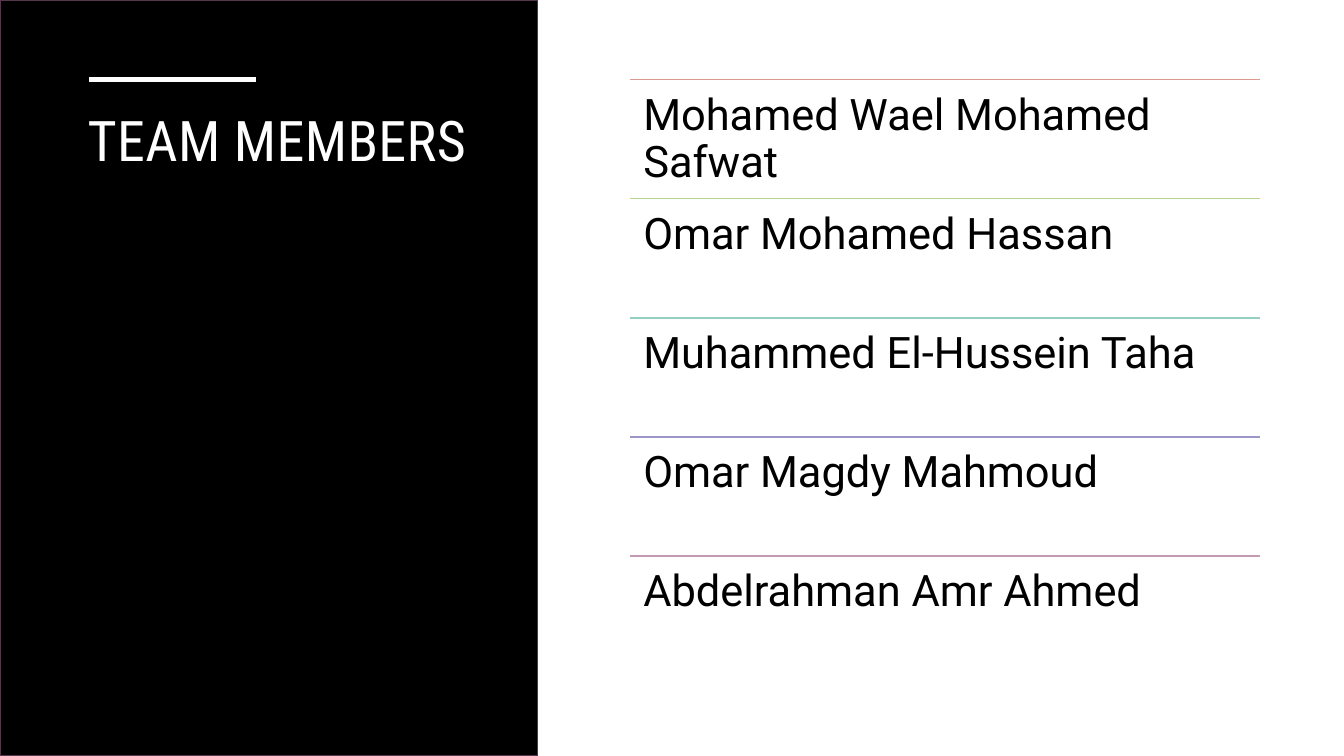
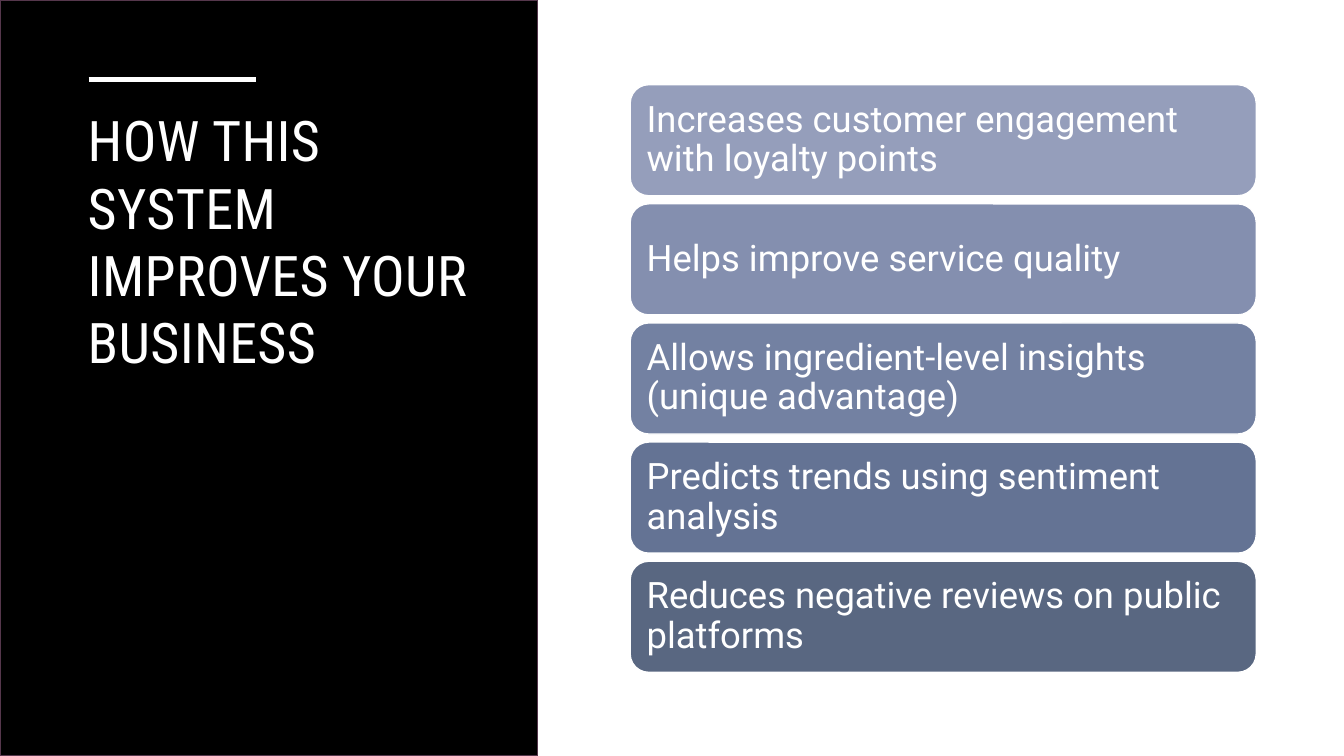
from lxml.etree import SubElement
from pptx import Presentation
from pptx.dml.color import RGBColor
from pptx.enum.shapes import MSO_CONNECTOR, MSO_SHAPE
from pptx.enum.text import MSO_ANCHOR, MSO_AUTO_SIZE, PP_ALIGN
from pptx.oxml.ns import qn
from pptx.util import Inches, Pt

WIDE, HIGH = 13.33, 7.5
BLACK, WHITE, EDGE = "000000", "FFFFFF", "55374C"
HEAD, BODY = "Roboto Condensed", "Roboto"
PANEL = (0, 0, 0.4 * WIDE, HIGH)
LIST = (6.25, 0.79, 6.25, 5.91)

TEAM = [
    ("Mohamed Wael Mohamed Safwat", "DB9A8F"),
    ("Omar Mohamed Hassan", "B6D591"),
    ("Muhammed El-Hussein Taha", "94CFC2"),
    ("Omar Magdy Mahmoud", "9C97C9"),
    ("Abdelrahman Amr Ahmed", "C29AB1"),
]
GAINS = [
    ("Increases customer engagement with loyalty points", "959EBB"),
    ("Helps improve service quality", "848FAF"),
    ("Allows ingredient-level insights (unique advantage)", "7381A2"),
    ("Predicts trends using sentiment analysis", "647394"),
    ("Reduces negative reviews on public platforms", "596781"),
]


def paint(part, color):
    """Give a fill, line or font a solid colour."""
    if hasattr(part, "solid"):
        part.solid()
        part.fore_color.rgb = RGBColor.from_string(color)
    else:
        part.color.rgb = RGBColor.from_string(color)


def inches(box):
    return [Inches(v) for v in box]


def rule(slide, left, top, width, color, weight):
    """Draw a level line without a shadow."""
    line = slide.shapes.add_connector(
        MSO_CONNECTOR.STRAIGHT, *inches((left, top, left + width, top)))
    paint(line.line, color)
    line.line.width = Pt(weight)
    SubElement(line.element.spPr, qn("a:effectLst"))


def block(slide, kind, box, fill, edge):
    shape = slide.shapes.add_shape(kind, *inches(box))
    shape.shadow.inherit = False
    paint(shape.fill, fill)
    paint(shape.line, edge)
    shape.line.width = Pt(1)
    return shape


def write(shape, text, font, size, color, anchor, pad, space=1.0):
    """Fill a shape with one left-aligned paragraph; pad is (x, y)."""
    frame = shape.text_frame
    frame.word_wrap = True
    frame.auto_size = MSO_AUTO_SIZE.NONE
    frame.vertical_anchor = anchor
    frame.margin_left = frame.margin_right = Inches(pad[0])
    frame.margin_top = frame.margin_bottom = Inches(pad[1])
    para = frame.paragraphs[0]
    para.alignment = PP_ALIGN.LEFT
    para.line_spacing = space
    run = para.add_run()
    run.text = text
    run.font.name = font
    run.font.size = Pt(size)
    paint(run.font, color)
    return run


def side(slide, box, text):
    """Build the dark panel with its short bar and the slide title."""
    left, top, width, height = box
    title = slide.shapes.title
    panel = block(slide, MSO_SHAPE.RECTANGLE, box, BLACK, EDGE)
    title.element.addprevious(panel.element)
    title.left, title.top, title.width, title.height = inches(
        (left + 0.77, top + 1, width - 1.26, height - 3.49))
    run = write(title, text, HEAD, 40, WHITE, MSO_ANCHOR.TOP, (0.1, 0.05))
    run.font._element.set("spc", "30")
    rule(slide, left + 0.88, top + 0.79, 1.66, WHITE, 3.5)


def rows(box, count):
    """Split a box into equal rows."""
    left, top, width, height = box
    step = height / count
    return [(left, top + i * step, width, step) for i in range(count)]


def names(slide, box, items):
    for (text, color), row in zip(items, rows(box, len(items))):
        rule(slide, *row[:3], color, 1)
        label = slide.shapes.add_textbox(*inches(row))
        write(label, text, BODY, 31, BLACK, MSO_ANCHOR.TOP, (0.13, 0.13), 0.9)


def cards(slide, box, items):
    for (text, color), row in zip(items, rows(box, len(items))):
        left, top, width, height = row
        card = block(slide, MSO_SHAPE.ROUNDED_RECTANGLE,
                     (left, top + 0.05, width - 0.04, height - 0.08),
                     color, WHITE)
        write(card, text, BODY, 26, WHITE, MSO_ANCHOR.MIDDLE, (0.11, 0.11), 0.9)


def main():
    deck = Presentation()
    deck.slide_width, deck.slide_height = inches((WIDE, HIGH))
    for title, fill, items in (
        ("TEAM MEMBERS", names, TEAM),
        ("HOW THIS SYSTEM IMPROVES YOUR BUSINESS", cards, GAINS),
    ):
        slide = deck.slides.add_slide(deck.slide_layouts[5])
        side(slide, PANEL, title)
        fill(slide, LIST, items)
    deck.save("out.pptx")


if __name__ == "__main__":
    main()
